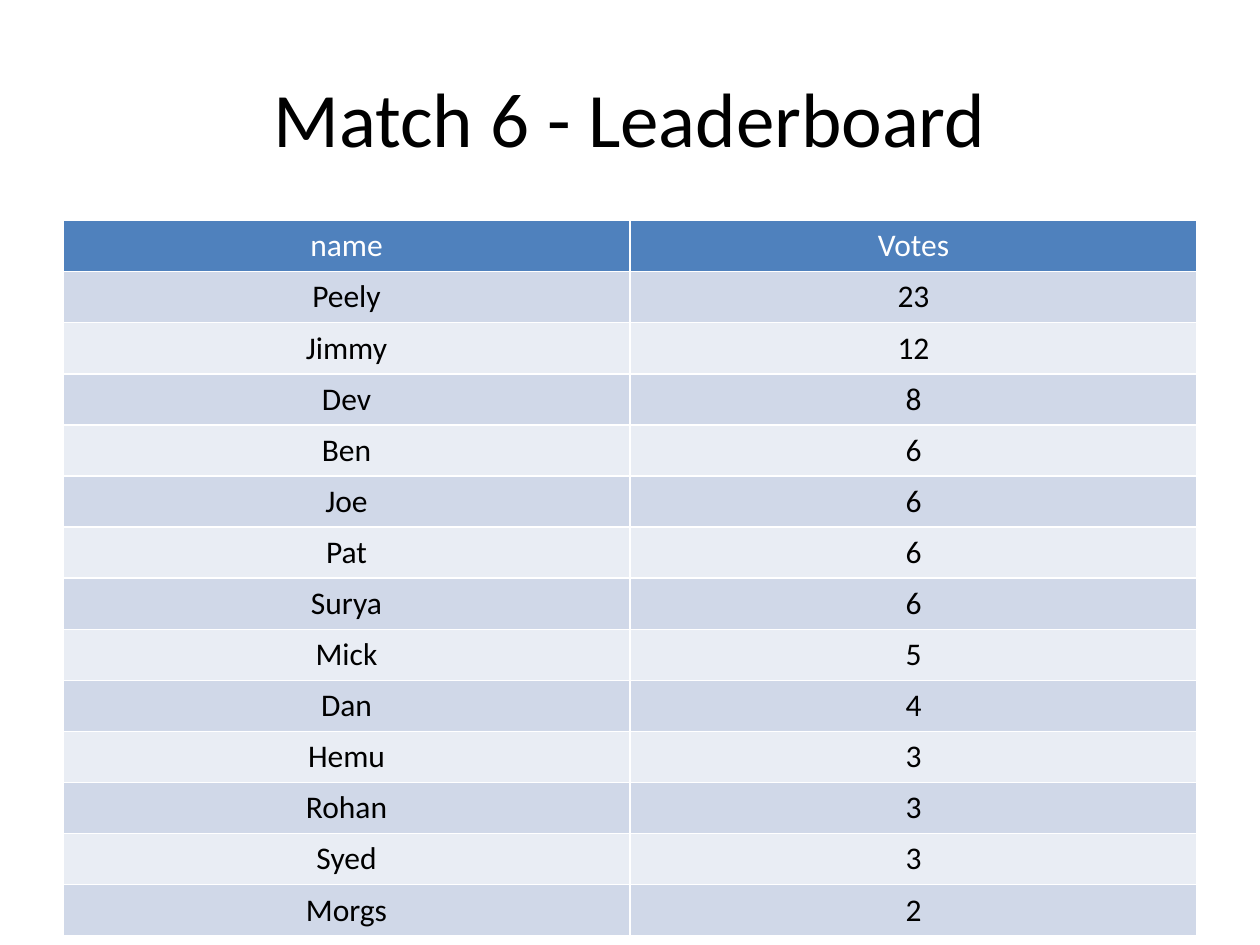
"""Build the Match 6 leaderboard slide."""
from dataclasses import dataclass

from lxml import etree
from pptx import Presentation
from pptx.dml.color import RGBColor
from pptx.enum.text import MSO_ANCHOR, PP_ALIGN
from pptx.oxml.ns import qn
from pptx.util import Pt


@dataclass(frozen=True)
class Theme:
    font: str = "Calibri"
    title_size: float = 44
    table_size: float = 18
    text: str = "000000"
    header_text: str = "FFFFFF"
    header_fill: str = "4F81BD"
    bands: tuple[str, str] = ("D0D8E8", "E9EDF4")
    border: str = "FFFFFF"
    border_width: float = 1


@dataclass(frozen=True)
class Entry:
    name: str
    votes: int


@dataclass(frozen=True)
class RowStyle:
    fill: str
    text: str


THEME = Theme()
LEFT, WIDTH = 36, 648
TABLE_TOP, ROW_HEIGHT = 126, 29.2
HEADINGS = ("name", "Votes")
ENTRIES = [
    Entry("Peely", 23), Entry("Jimmy", 12), Entry("Dev", 8), Entry("Ben", 6),
    Entry("Joe", 6), Entry("Pat", 6), Entry("Surya", 6), Entry("Mick", 5),
    Entry("Dan", 4), Entry("Hemu", 3), Entry("Rohan", 3), Entry("Syed", 3),
    Entry("Morgs", 2),
]


def write_text(frame, text: str, size: float, color: str) -> None:
    paragraph = frame.paragraphs[0]
    paragraph.alignment = PP_ALIGN.CENTER
    run = paragraph.add_run()
    run.text = text
    run.font.name = THEME.font
    run.font.size = Pt(size)
    run.font.bold = False
    run.font.color.rgb = RGBColor.from_string(color)


def add_title(slide, text: str) -> None:
    box = slide.shapes.add_textbox(Pt(LEFT), Pt(21.6), Pt(WIDTH), Pt(90))
    box.text_frame.word_wrap = True
    box.text_frame.vertical_anchor = MSO_ANCHOR.MIDDLE
    write_text(box.text_frame, text, THEME.title_size, THEME.text)


def set_borders(cell) -> None:
    properties = cell._tc.get_or_add_tcPr()
    for side in "LRTB":
        line = etree.SubElement(
            properties, qn(f"a:ln{side}"), w=str(Pt(THEME.border_width)))
        fill = etree.SubElement(line, qn("a:solidFill"))
        etree.SubElement(fill, qn("a:srgbClr"), val=THEME.border)


def style_for(row: int) -> RowStyle:
    if row == 0:
        return RowStyle(THEME.header_fill, THEME.header_text)
    return RowStyle(THEME.bands[(row - 1) % 2], THEME.text)


def add_leaderboard(slide, entries: list[Entry]) -> None:
    rows = [HEADINGS, *((entry.name, str(entry.votes)) for entry in entries)]
    table = slide.shapes.add_table(
        len(rows), len(HEADINGS), Pt(LEFT), Pt(TABLE_TOP),
        Pt(WIDTH), Pt(ROW_HEIGHT * len(rows))).table
    for row, values in enumerate(rows):
        table.rows[row].height = Pt(ROW_HEIGHT)
        style = style_for(row)
        for column, value in enumerate(values):
            cell = table.cell(row, column)
            set_borders(cell)
            cell.fill.solid()
            cell.fill.fore_color.rgb = RGBColor.from_string(style.fill)
            write_text(cell.text_frame, value, THEME.table_size, style.text)


def main() -> None:
    presentation = Presentation()
    presentation.slide_width, presentation.slide_height = Pt(720), Pt(540)
    slide = presentation.slides.add_slide(presentation.slide_layouts[6])
    add_title(slide, "Match 6 - Leaderboard")
    add_leaderboard(slide, ENTRIES)
    presentation.save("out.pptx")


main()
